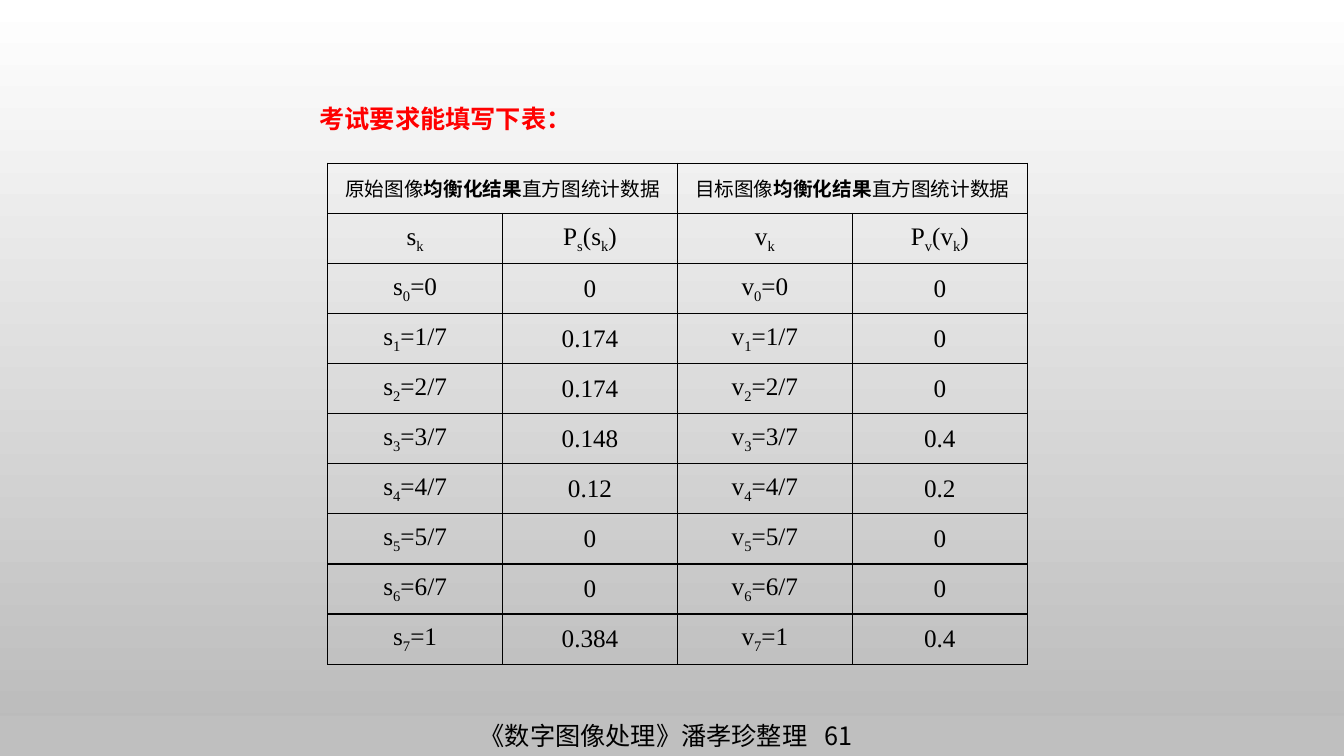
from lxml.etree import SubElement
from pptx import Presentation
from pptx.dml.color import RGBColor
from pptx.enum.shapes import MSO_SHAPE
from pptx.enum.text import MSO_ANCHOR, MSO_AUTO_SIZE, PP_ALIGN
from pptx.oxml.ns import qn
from pptx.util import Inches, Pt

# Content: "_" puts the next character below the line
HEADING = "考试要求能填写下表："
HEADERS = [("原始图像", "均衡化结果", "直方图统计数据"),
           ("目标图像", "均衡化结果", "直方图统计数据")]
SYMBOLS = ["s_k", "P_s(s_k)", "v_k", "P_v(v_k)"]
LEVELS = ["0", "1/7", "2/7", "3/7", "4/7", "5/7", "6/7", "1"]
SOURCE_SHARES = ["0", "0.174", "0.174", "0.148", "0.12", "0", "0", "0.384"]
TARGET_SHARES = ["0", "0", "0", "0.4", "0.2", "0", "0", "0.4"]
FOOTER = ("《数字图像处理》潘孝珍整理", "61")

CHINESE = "Noto Sans CJK SC"
SERIF = "Times New Roman"
BLACK = "000000"


def paint(color_format, color):
    color_format.rgb = RGBColor.from_string(color)


def add_run(paragraph, text, size=18, face=CHINESE, color=BLACK, bold=False):
    run = paragraph.add_run()
    run.text = text
    run.font.size = Pt(size)
    run.font.bold = bold
    paint(run.font.color, color)
    run.font.name = face
    props = run._r.get_or_add_rPr()
    SubElement(props, qn("a:ea"), typeface=face)
    return props


def add_formula(paragraph, text):
    first, *rest = text.split("_")
    add_run(paragraph, first, face=SERIF)
    for part in rest:
        add_run(paragraph, part[0], face=SERIF).set("baseline", "-25000")
        if part[1:]:
            add_run(paragraph, part[1:], face=SERIF)


def style_cell(cell):
    cell.margin_left = cell.margin_right = Inches(0.07)
    cell.margin_top = cell.margin_bottom = 0
    cell.vertical_anchor = MSO_ANCHOR.MIDDLE
    cell.text_frame.paragraphs[0].alignment = PP_ALIGN.CENTER
    props = cell._tc.get_or_add_tcPr()
    for side in ("a:lnL", "a:lnR", "a:lnT", "a:lnB"):
        line = SubElement(props, qn(side), w=str(Pt(1)))
        SubElement(SubElement(line, qn("a:solidFill")), qn("a:srgbClr"), val=BLACK)
    cell.fill.background()


presentation = Presentation()
presentation.slide_width = Inches(13.33)
presentation.slide_height = Inches(7.5)
slide = presentation.slides.add_slide(presentation.slide_layouts[6])

# Background, white at the top to grey at the bottom
backdrop = slide.background.fill
backdrop.gradient()
backdrop.gradient_angle = 270
for stop, shade in zip(backdrop.gradient_stops, ("FFFFFF", "B9B9B9")):
    paint(stop.color, shade)

# Footer band
footer = slide.shapes.add_shape(
    MSO_SHAPE.RECTANGLE, 0, Inches(7.1), Inches(13.33), Inches(0.4))
footer.shadow.inherit = False
footer.fill.solid()
paint(footer.fill.fore_color, "BFBFBF")
footer.line.fill.background()
footer.text_frame.margin_right = Inches(0.22)
footer.text_frame.vertical_anchor = MSO_ANCHOR.MIDDLE
credit = footer.text_frame.paragraphs[0]
credit.alignment = PP_ALIGN.CENTER
add_run(credit, FOOTER[0])
add_run(credit, " ").set("spc", "800")
add_run(credit, FOOTER[1])

# Table of both equalised histograms
rows = [SYMBOLS] + [
    [f"s_{k}={level}", source, f"v_{k}={level}", target]
    for k, (level, source, target)
    in enumerate(zip(LEVELS, SOURCE_SHARES, TARGET_SHARES))]
histogram = slide.shapes.add_table(
    len(rows) + 1, len(SYMBOLS),
    Inches(3.25), Inches(1.62), Inches(6.94), Inches(4.97)).table
histogram.first_row = histogram.horz_banding = False
for cell in histogram.iter_cells():
    style_cell(cell)
for half, header in enumerate(HEADERS):
    title_cell = histogram.cell(0, 2 * half)
    title_cell.merge(histogram.cell(0, 2 * half + 1))
    for part, text in enumerate(header):
        add_run(title_cell.text_frame.paragraphs[0], text, size=14, bold=part == 1)
for row, formulas in enumerate(rows, start=1):
    for column, formula in enumerate(formulas):
        add_formula(histogram.cell(row, column).text_frame.paragraphs[0], formula)

# Heading
heading = slide.shapes.add_textbox(
    Inches(3.07), Inches(0.98), Inches(2.74), Inches(0.4)).text_frame
heading.word_wrap = False
heading.auto_size = MSO_AUTO_SIZE.SHAPE_TO_FIT_TEXT
add_run(heading.paragraphs[0], HEADING, color="FF0000", bold=True)

presentation.save("out.pptx")
